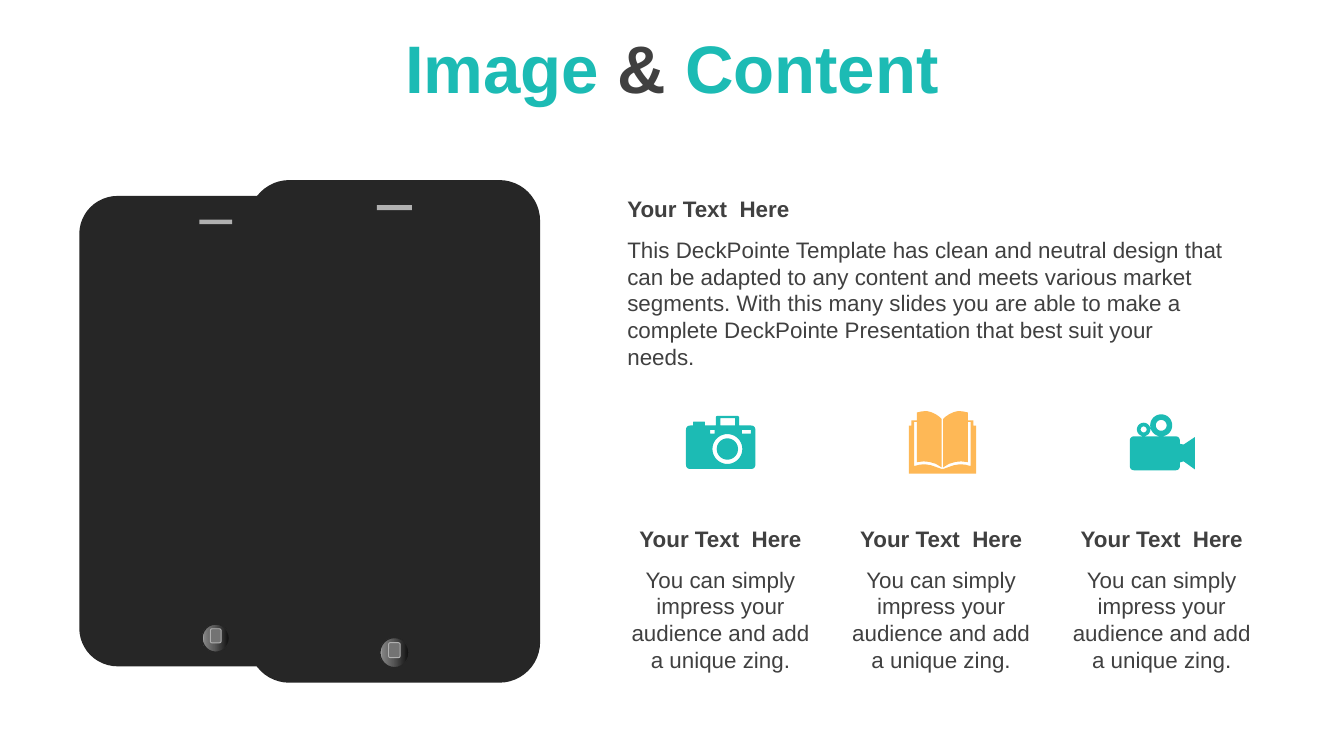
from copy import deepcopy
from math import cos, pi, sin

from pptx import Presentation
from pptx.dml.color import RGBColor
from pptx.enum.shapes import MSO_SHAPE as SHAPE
from pptx.enum.text import MSO_ANCHOR as ANCHOR, PP_ALIGN as ALIGN
from pptx.util import Pt

COLORS = {
    "teal": "1CBBB4", "amber": "FEB856", "text": "404040", "phone": "262626",
    "speaker": "B0B0B0", "key": "737373",
}
BUTTON_STOPS = [(0, "0F0F0F"), (0.56, "595959"), (0.91, "808080"), (1, "BFBFBF")]
FONT = "Arial"
HEADING = "Your Text  Here"
INTRO = (
    "This DeckPointe Template has clean and neutral design that can be adapted to "
    "any content and meets various market segments. With this many slides you are "
    "able to make a complete DeckPointe Presentation that best suit your needs."
)
BLURB = "You can simply impress your audience and add a unique zing."


def rgb(name):
    """Return the colour stored under a name."""
    return RGBColor.from_string(COLORS[name])


def add_run(p, text, color="text", size=12, bold=False):
    """Add formatted text to a paragraph."""
    r = p.add_run()
    r.text = text
    r.font.name, r.font.size, r.font.bold = FONT, Pt(size), bold
    r.font.color.rgb = rgb(color)


def circle(cx, cy, radius, n=40):
    """Return the outline points of a circle."""
    return [(cx + radius * cos(2 * pi * i / n), cy + radius * sin(2 * pi * i / n))
            for i in range(n)]


def rect(x, y, w, h):
    """Return the corners of a rectangle."""
    return [(x, y), (x + w, y), (x + w, y + h), (x, y + h)]


def rounded(corners, steps=6):
    """Return outline points, rounding each corner given as (x, y, radius)."""
    points = []
    for i, (x, y, *radius) in enumerate(corners):
        if not radius:
            points.append((x, y))
            continue
        ends = []
        for nx, ny, *_ in (corners[i - 1], corners[(i + 1) % len(corners)]):
            f = radius[0] / ((nx - x) ** 2 + (ny - y) ** 2) ** 0.5
            ends.append((x + f * (nx - x), y + f * (ny - y)))
        (ax, ay), (bx, by) = ends
        for k in range(steps + 1):
            t = k / steps
            a, b, c = (1 - t) ** 2, 2 * t * (1 - t), t * t
            points.append((a * ax + b * x + c * bx, a * ay + b * y + c * by))
    return points


def mirror(points, width):
    """Flip points left to right within a width, in reverse order."""
    return [(width - x, y) for x, y in reversed(points)]


def camera():
    """Return the contours of the photo camera icon."""
    body = [(16, 0, 1), (28.5, 0, 1), (28.5, 5.1), (37.2, 5.1, 2.5),
            (37.2, 28.4, 2.5), (0, 28.4, 2.5), (0, 5.1, 2.5), (3.8, 5.1),
            (3.8, 3, 0.5), (10.2, 3, 0.5), (10.2, 5.1), (16, 5.1)]
    return [rounded(body), circle(22.2, 17.7, 8), circle(22.2, 17.7, 5.7),
            rect(13, 7.5, 2.4, 2), rect(30, 7.5, 4.8, 2), rect(18.5, 1.2, 7.8, 3.9)]


def book():
    """Return the contours of the open book icon."""
    page = [(4.3, 0.8), (7, 0.2), (9.5, 0), (12, 0.6), (14.5, 1.8), (16.5, 3.2),
            (17.6, 4.3), (17.6, 30.2), (14.5, 28.3), (11, 27.3), (8, 27), (4.3, 27.4)]
    cover = [(0, 33.6), (0, 7.9), (1.4, 7.9), (1.4, 5), (4.3, 5), (4.3, 5.8),
             (2.9, 5.8), (2.9, 29.5), (6, 28.7), (9, 28.6), (12, 29.1), (17.4, 31)]
    return [page, mirror(page, 36), cover + mirror(cover, 36)]


def video():
    """Return the contours of the film camera icon."""
    body = [(0, 11.8, 2.5), (26.8, 11.8, 2.5), (26.8, 15.8), (28.8, 16.2),
            (34.8, 12.2), (34.8, 29.5), (28.8, 25.2), (26.8, 25.8),
            (26.8, 30, 2.5), (0, 30, 2.5)]
    return [rounded(body), circle(16.8, 5.9, 5.9), circle(16.8, 5.9, 2.9),
            circle(7.4, 8.1, 3.6), circle(7.4, 8.1, 1.6)]


class Deck:
    """Hold the current slide and draw styled elements on it."""

    def __init__(self, prs):
        self.s = prs.slides.add_slide(prs.slide_layouts[6])

    def text(self, x, y, w, h, runs, align=ALIGN.LEFT, anchor=ANCHOR.TOP):
        """Add a wrapped text box made of (text, format) runs."""
        tf = self.s.shapes.add_textbox(Pt(x), Pt(y), Pt(w), Pt(h)).text_frame
        tf.word_wrap, tf.vertical_anchor = True, anchor
        p = tf.paragraphs[0]
        p.alignment = align
        for text, style in runs:
            add_run(p, text, **style)

    def block(self, x, y, w, body, align=ALIGN.LEFT):
        """Add a bold heading with body text below it."""
        self.text(x, y, w, 21.8, [(HEADING, {"bold": True})], align)
        self.text(x, y + 22, w, 65.5, [(body, {})], align)

    def shape(self, kind, x, y, w, h, fill, line=None, width=0.5):
        """Add a flat preset shape."""
        sp = self.s.shapes.add_shape(kind, Pt(x), Pt(y), Pt(w), Pt(h))
        self.paint(sp, fill)
        if line:
            sp.line.color.rgb = rgb(line)
            sp.line.width = Pt(width)
        return sp

    def paint(self, sp, fill):
        """Give a shape a plain fill without line or shadow."""
        sp.shadow.inherit = False
        sp.fill.solid()
        sp.fill.fore_color.rgb = rgb(fill)
        sp.line.fill.background()

    def button_gradient(self, sp):
        """Fill a home button with its metallic gradient."""
        sp.fill.gradient()
        sp.fill.gradient_angle = 180
        stops = sp.fill._fill._gradFill.gsLst
        for _ in range(len(BUTTON_STOPS) - len(stops)):
            stops.append(deepcopy(stops[0]))
        for stop, (position, color) in zip(sp.fill.gradient_stops, BUTTON_STOPS):
            stop.position = position
            stop.color.rgb = RGBColor.from_string(color)

    def phone(self, x, y, w, h):
        """Add a phone whose parts scale with its body."""
        def part(kind, fx, fy, fw, fh, fill, **line):
            return self.shape(kind, x + fx * w, y + fy * h, fw * w, fh * h, fill, **line)

        body = part(SHAPE.ROUNDED_RECTANGLE, 0, 0, 1, 1, "phone")
        body.adjustments[0] = 0.14
        part(SHAPE.RECTANGLE, 0.44, 0.05, 0.12, 0.01, "speaker")
        button = part(SHAPE.OVAL, 0.45, 0.91, 0.1, 0.06, "key", line="phone", width=0)
        self.button_gradient(button)
        part(SHAPE.ROUNDED_RECTANGLE, 0.48, 0.92, 0.04, 0.03, "key", line="speaker")

    def icon(self, x, y, contours, fill):
        """Add an icon as one freeform with holes."""
        placed = [[(Pt(x + px), Pt(y + py)) for px, py in c] for c in contours]
        builder = self.s.shapes.build_freeform(*placed[0][0], scale=1.0)
        for i, points in enumerate(placed):
            if i:
                builder.move_to(*points[0])
            builder.add_line_segments(points[1:], close=True)
        self.paint(builder.convert_to_shape(), fill)


def main():
    """Build the slide and save it."""
    prs = Presentation()
    prs.slide_width, prs.slide_height = Pt(720), Pt(405)
    deck = Deck(prs)
    deck.phone(42.5, 105, 146.2, 252)
    deck.phone(133.2, 96.5, 156.2, 269.3)
    title = [("Image ", "teal"), ("&", "text"), (" Content", "teal")]
    deck.text(0, 5, 720, 61.2,
              [(t, {"color": c, "size": 36, "bold": True}) for t, c in title],
              ALIGN.CENTER, ANCHOR.MIDDLE)
    deck.block(329, 100.8, 334.8, INTRO)
    icons = [(367.5, 222.9, camera(), "teal"), (486.9, 220.2, book(), "amber"),
             (605.3, 222, video(), "teal")]
    for i, icon in enumerate(icons):
        deck.block(326.6 + 118.2 * i, 277.5, 118.8, BLURB, ALIGN.CENTER)
        deck.icon(*icon)
    prs.save("out.pptx")


if __name__ == "__main__":
    main()
